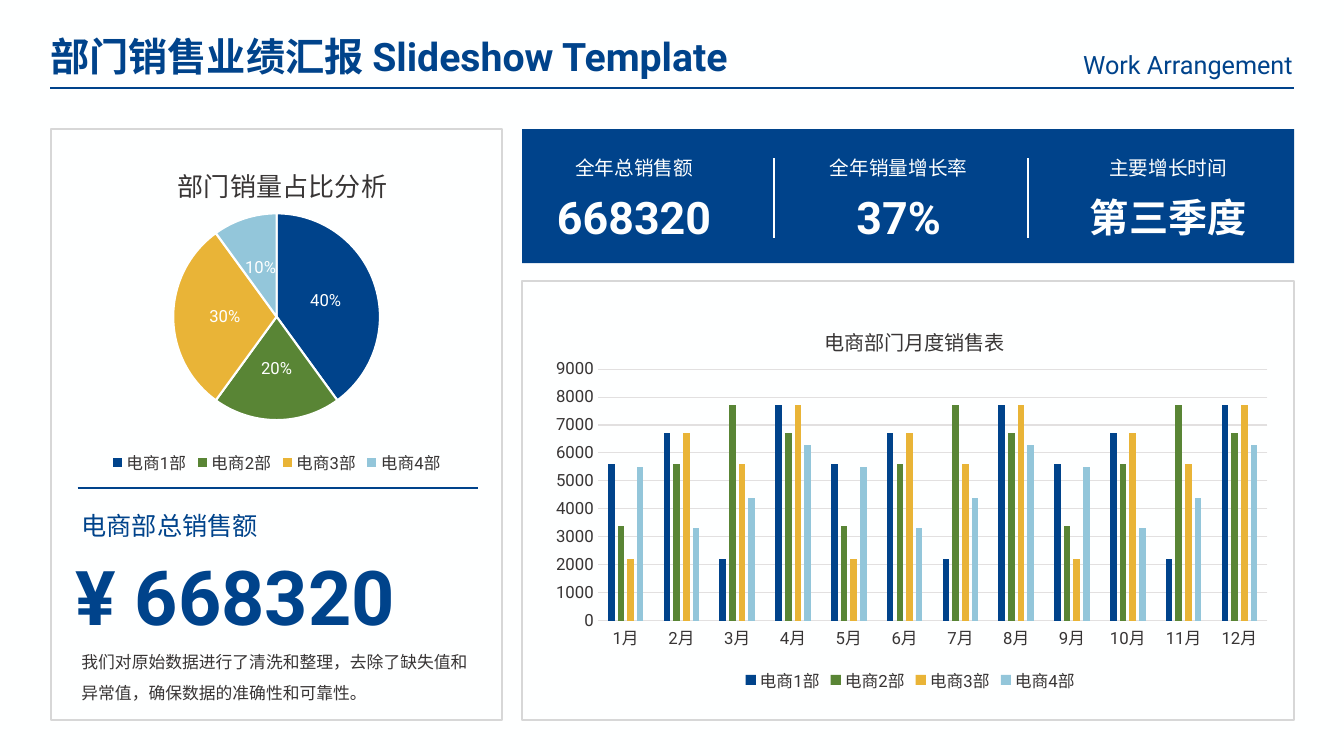
from collections import namedtuple

from lxml.etree import SubElement
from pptx import Presentation
from pptx.chart.data import CategoryChartData as ChartData
from pptx.dml.color import RGBColor
from pptx.enum.chart import XL_CHART_TYPE as ChartType, XL_LABEL_POSITION as LabelPosition
from pptx.enum.chart import XL_LEGEND_POSITION as LegendPosition, XL_TICK_MARK as TickMark
from pptx.enum.lang import MSO_LANGUAGE_ID as Language
from pptx.enum.shapes import MSO_CONNECTOR as Connector, MSO_SHAPE as Shape
from pptx.enum.text import MSO_ANCHOR as Anchor, PP_ALIGN as Align
from pptx.oxml import parse_xml
from pptx.oxml.ns import nsdecls, qn
from pptx.util import Pt

BLUE = RGBColor(0x00, 0x43, 0x8B)
GREEN = RGBColor(0x59, 0x85, 0x35)
YELLOW = RGBColor(0xE9, 0xB4, 0x37)
SKY = RGBColor(0x93, 0xC6, 0xDA)
WHITE = RGBColor(0xFE, 0xFF, 0xFF)
INK = RGBColor(0x38, 0x35, 0x35)
BORDER = RGBColor(0xD7, 0xD7, 0xD7)
GRID = RGBColor(0xE2, 0xE0, 0xE0)
PALETTE = [BLUE, GREEN, YELLOW, SKY]
FONT = "Roboto"
TEAMS = [f"电商{number}部" for number in range(1, 5)]
SHARES = [0.4, 0.2, 0.3, 0.1]
QUARTERLY_CYCLE = [
    [5600, 6700, 2200, 7700],
    [3400, 5600, 7700, 6700],
    [2200, 6700, 5600, 7700],
    [5500, 3300, 4400, 6300],
]
FIGURES = [
    ("全年总销售额", "668320", 32, 80),
    ("全年销量增长率", "37%", 32, 269),
    ("主要增长时间", "第三季度", 28, 461.5),
]
Box = namedtuple("Box", "left top width height")


def inside(box, left, top, width, height):
    """Return a box placed relative to the corner of another."""
    return Box(box.left + left, box.top + top, width, height)


def set_font(font, size, color, bold=False):
    """Apply the deck's typeface to a font."""
    values = {"name": FONT, "size": Pt(size), "bold": bold,
              "language_id": Language.SIMPLIFIED_CHINESE}
    for name, value in values.items():
        setattr(font, name, value)
    font.color.rgb = color


def fill_text(shape, text, size, color, bold=False, align=Align.LEFT, spacing=1.0):
    """Write one formatted paragraph into a shape."""
    frame = shape.text_frame
    frame.word_wrap = True
    frame.vertical_anchor = Anchor.TOP
    para = frame.paragraphs[0]
    para.alignment = align
    para.line_spacing = spacing
    span = para.add_run()
    span.text = text
    set_font(span.font, size, color, bold)


def add_text(page, box, text, size, color, **style):
    """Add a text box."""
    fill_text(page.shapes.add_textbox(*map(Pt, box)), text, size, color, **style)


def add_panel(page, box, fill, border=None):
    """Add a flat rectangle with an optional border."""
    panel = page.shapes.add_shape(Shape.RECTANGLE, *map(Pt, box))
    panel.shadow.inherit = False
    panel.fill.solid()
    panel.fill.fore_color.rgb = fill
    if border is None:
        panel.line.fill.background()
    else:
        panel.line.color.rgb = border
        panel.line.width = Pt(1.5)


def add_rule(page, box, color, width):
    """Draw a straight line across a box of no width or no height."""
    ends = (box.left, box.top, box.left + box.width, box.top + box.height)
    rule = page.shapes.add_connector(Connector.STRAIGHT, *map(Pt, ends))
    rule.line.color.rgb = color
    rule.line.width = Pt(width)
    SubElement(rule._element.spPr, qn("a:effectLst"))


def set_layout(parent, index, **parts):
    """Give a chart part a manual layout in fractions of the chart."""
    for old in parent.findall(qn("c:layout")):
        parent.remove(old)
    target = '<c:layoutTarget val="inner"/>' if "w" in parts else ""
    modes = '<c:xMode val="edge"/><c:yMode val="edge"/>'
    sizes = "".join(f'<c:{name} val="{value}"/>' for name, value in parts.items())
    parent.insert(index, parse_xml(
        f'<c:layout {nsdecls("c")}><c:manualLayout>{target}{modes}{sizes}'
        '</c:manualLayout></c:layout>'))


def add_chart(page, box, kind, data, title, title_size, title_at, plot_at, legend_size):
    """Add a chart with a title, a bottom legend and a placed plot."""
    chart = page.shapes.add_chart(kind, *map(Pt, box), data).chart
    set_font(chart.font, 12, INK)
    chart.has_title = True
    para = chart.chart_title.text_frame.paragraphs[0]
    span = para.add_run()
    span.text = title
    set_font(span.font, title_size, INK)
    set_layout(chart.chart_title._element, 1, **title_at)
    set_layout(chart._chartSpace.chart.plotArea, 0, **plot_at)
    chart.has_legend = True
    chart.legend.position = LegendPosition.BOTTOM
    chart.legend.include_in_layout = False
    set_font(chart.legend.font, legend_size, INK)
    return chart


def add_header(page, box):
    """Place the title, the side note and the rule below them."""
    title = page.shapes.title
    place = inside(box, -7.2, 0, 640, 41)
    for name, value in place._asdict().items():
        setattr(title, name, Pt(value))
    fill_text(title, "部门销售业绩汇报 Slideshow Template", 28, BLUE, bold=True)
    add_text(page, inside(box, box.width - 176, 12.2, 182, 29), "Work Arrangement", 18, BLUE,
             align=Align.RIGHT)
    add_rule(page, inside(box, 0, box.height, box.width, 0), BLUE, 1.5)


def add_share_panel(page, box):
    """Build the share pie and the sales total below it."""
    add_panel(page, box, WHITE, BORDER)
    data = ChartData(number_format="0%")
    data.categories = TEAMS
    data.add_series("Series 1", SHARES)
    chart = add_chart(page, inside(box, 0, 3.6, box.width, 246.2), ChartType.PIE, data,
                      "部门销量占比分析", 18.6, {"x": 0.27, "y": 0.07},
                      {"x": 0.27, "y": 0.23, "w": 0.46, "h": 0.6}, 11.9)
    plot = chart.plots[0]
    plot.vary_by_categories = True
    for index, color in enumerate(PALETTE):
        piece = plot.series[0].points[index].format
        piece.fill.solid()
        piece.fill.fore_color.rgb = color
        piece.line.color.rgb = WHITE
        piece.line.width = Pt(1.5)
    plot.has_data_labels = True
    labels = plot.data_labels
    values = {"show_value": True, "show_percentage": False, "number_format": "0%",
              "number_format_is_linked": False, "position": LabelPosition.CENTER}
    for name, value in values.items():
        setattr(labels, name, value)
    set_font(labels.font, 11.9, WHITE)
    add_rule(page, inside(box, 18.7, 256.3, 286, 0), BLUE, 1)
    add_text(page, inside(box, 14.4, 268.5, 150, 29), "电商部总销售额", 18, BLUE)
    add_text(page, inside(box, 10.1, 297.3, 295, 73), "¥ 668320", 54, BLUE, bold=True)
    add_text(page, inside(box, 14.4, 362.9, 299.5, 49),
             "我们对原始数据进行了清洗和整理，去除了缺失值和异常值，确保数据的准确性和可靠性。",
             12, INK, spacing=1.5)


def add_figure_banner(page, box):
    """Build the banner of three key figures."""
    add_panel(page, box, BLUE)
    for label, figure, size, center in FIGURES:
        left = center - 80
        add_text(page, inside(box, left, 15.8, 160, 24.5), label, 14, WHITE, align=Align.CENTER)
        top = 39.6 + (32 - size) * 0.7
        add_text(page, inside(box, left, top, 160, 46), figure, size, WHITE, bold=True,
                 align=Align.CENTER)
    for offset in (180, 361.4):
        add_rule(page, inside(box, offset, 20.9, 0, 56.9), WHITE, 1.5)


def add_monthly_panel(page, box):
    """Build the column chart of monthly sales."""
    add_panel(page, box, WHITE, BORDER)
    data = ChartData()
    data.categories = [f"{month}月" for month in range(1, 13)]
    for team, cycle in zip(TEAMS, QUARTERLY_CYCLE):
        data.add_series(team, cycle * 3)
    chart = add_chart(page, inside(box, 11.5, 11.5, 531.4, 285.1), ChartType.COLUMN_CLUSTERED,
                      data, "电商部门月度销售表", 14.4, {"x": 0.38, "y": 0.06},
                      {"x": 0.08, "y": 0.18, "w": 0.9, "h": 0.63}, 12)
    plot = chart.plots[0]
    for name, value in {"gap_width": 304, "overlap": -45, "vary_by_categories": False}.items():
        setattr(plot, name, value)
    for series, color in zip(plot.series, PALETTE):
        series.format.fill.solid()
        series.format.fill.fore_color.rgb = color
    months, amounts = chart.category_axis, chart.value_axis
    for axis in (months, amounts):
        axis.major_tick_mark = axis.minor_tick_mark = TickMark.NONE
        set_font(axis.tick_labels.font, 12, INK)
    for name, value in {"minimum_scale": 0, "maximum_scale": 9000, "major_unit": 1000}.items():
        setattr(amounts, name, value)
    amounts.format.line.fill.background()
    for line in (months.format.line, amounts.major_gridlines.format.line):
        line.color.rgb = GRID
        line.width = Pt(0.75)


def main():
    """Build and save the deck."""
    deck = Presentation()
    deck.slide_width, deck.slide_height = Pt(960), Pt(540)
    page = deck.slides.add_slide(deck.slide_layouts[5])
    page.background.fill.solid()
    page.background.fill.fore_color.rgb = WHITE
    add_header(page, Box(36, 19.5, 888.5, 43.1))
    add_share_panel(page, Box(36.7, 92.2, 321.8, 422))
    add_figure_banner(page, Box(373, 92.2, 551.5, 95.8))
    add_monthly_panel(page, Box(373, 200.9, 551.5, 313.3))
    deck.save("out.pptx")


if __name__ == "__main__":
    main()
